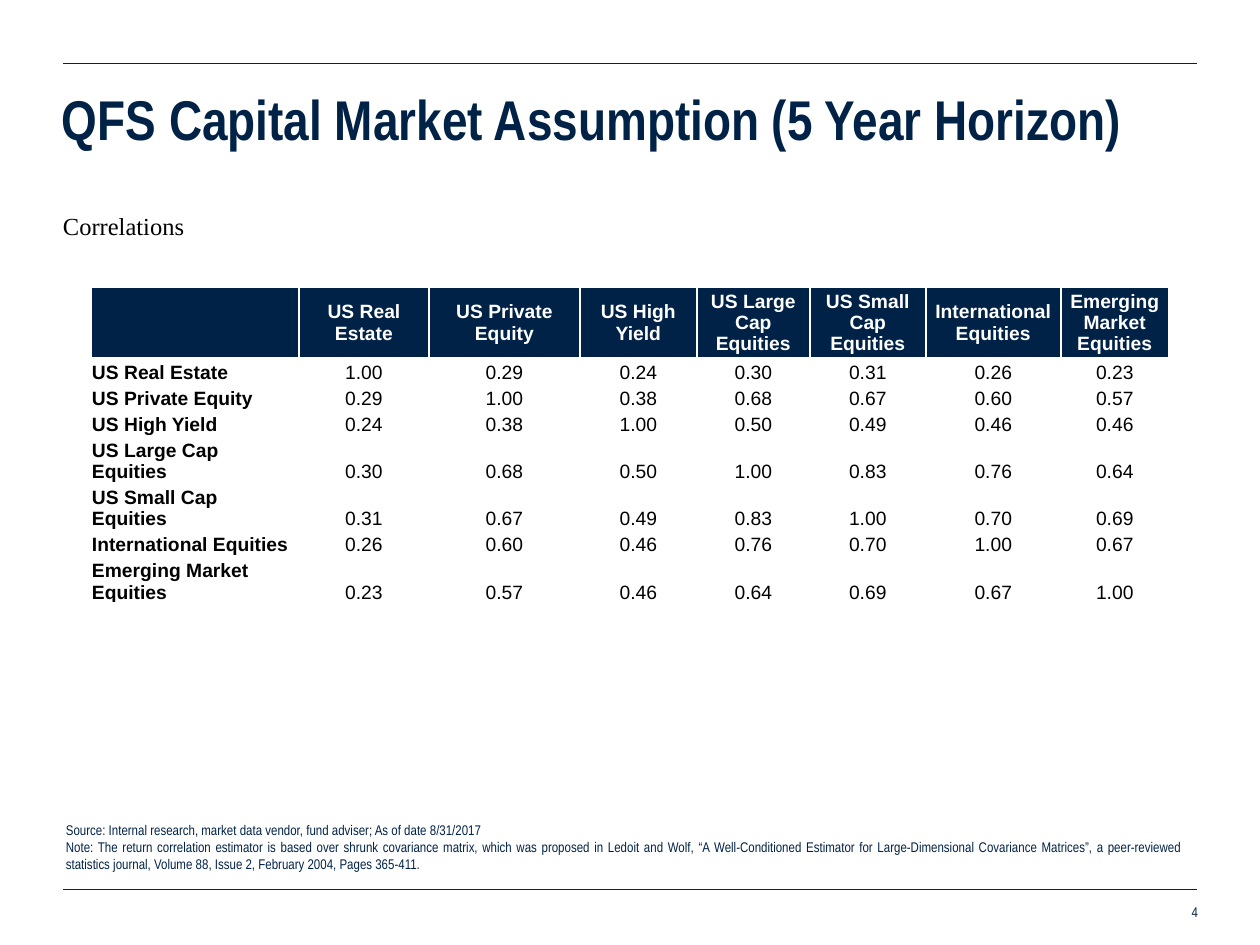
"""Build the correlation matrix slide of a capital market assumptions deck."""
from dataclasses import dataclass

from lxml.etree import SubElement
from pptx import Presentation
from pptx.dml.color import RGBColor
from pptx.enum.shapes import MSO_CONNECTOR
from pptx.enum.text import MSO_ANCHOR, PP_ALIGN
from pptx.oxml.ns import qn
from pptx.util import Emu, Pt


@dataclass(frozen=True)
class Theme:
    navy: str = "002247"
    black: str = "000000"
    white: str = "FFFFFF"
    narrow: str = "Arial Narrow"
    sans: str = "Arial"
    serif: str = "Times New Roman"
    title: int = 32
    subtitle: int = 14
    table: int = 11
    small: int = 8


def px(count):
    """Turn picture pixels into EMU."""
    return Emu(round(count * 914400 / 126))


def write_text(frame, text, *, size, font, color, bold=False, align=PP_ALIGN.LEFT,
               anchor=MSO_ANCHOR.TOP, insets=(13, 6, 13, 6), before=0):
    """Fill a text frame, one paragraph for each line of text."""
    frame.word_wrap = True
    frame.vertical_anchor = anchor
    frame.margin_left, frame.margin_top, frame.margin_right, frame.margin_bottom = map(px, insets)
    for index, line in enumerate(text.split("\n")):
        para = frame.add_paragraph() if index else frame.paragraphs[0]
        para.alignment = align
        para.space_before = Pt(before)
        span = para.add_run()
        span.text = line
        span.font.size = Pt(size)
        span.font.name = font
        span.font.bold = bold
        span.font.color.rgb = RGBColor.from_string(color)


theme = Theme()
deck = Presentation()
deck.slide_width, deck.slide_height = px(1260), px(945)
page = deck.slides.add_slide(deck.slide_layouts[6])

for rule_y in (63, 889):
    rule = page.shapes.add_connector(MSO_CONNECTOR.STRAIGHT, px(63), px(rule_y), px(1197), px(rule_y))
    rule.line.color.rgb = RGBColor.from_string(theme.navy)
    rule.line.width = Pt(0.5)
    SubElement(rule.element.spPr, qn("a:effectLst"))

note = (
    "Source: Internal research, market data vendor, fund adviser; As of date 8/31/2017\n"
    "Note: The return correlation estimator is based over shrunk covariance matrix, which was "
    "proposed in Ledoit and Wolf, “A Well-Conditioned Estimator for Large-Dimensional Covariance "
    "Matrices”, a peer-reviewed statistics journal, Volume 88, Issue 2, February 2004, Pages 365-411."
)
small_print = dict(size=theme.small, font=theme.narrow, color=theme.navy)
text_boxes = [
    ((62, 66, 1135, 105), "QFS Capital Market Assumption (5 Year Horizon)",
     dict(size=theme.title, font=theme.narrow, color=theme.navy, bold=True,
          anchor=MSO_ANCHOR.MIDDLE, insets=(0, 6, 13, 6))),
    ((63, 205, 1134, 670), "Correlations",
     dict(size=theme.subtitle, font=theme.serif, color=theme.black,
          insets=(0, 6, 13, 6), before=2.8)),
    ((901, 895, 297, 34), "4",
     dict(small_print, align=PP_ALIGN.RIGHT, anchor=MSO_ANCHOR.MIDDLE, insets=(13, 6, 0, 6))),
    ((53, 816, 1144, 86), note, dict(small_print, align=PP_ALIGN.JUSTIFY)),
]
for place, text, text_format in text_boxes:
    box = page.shapes.add_textbox(*map(px, place))
    write_text(box.text_frame, text, **text_format)

assets = ["US Real Estate", "US Private Equity", "US High Yield", "US Large Cap Equities",
          "US Small Cap Equities", "International Equities", "Emerging Market Equities"]
upper_triangle = [
    [1.00, 0.29, 0.24, 0.30, 0.31, 0.26, 0.23],
    [1.00, 0.38, 0.68, 0.67, 0.60, 0.57],
    [1.00, 0.50, 0.49, 0.46, 0.46],
    [1.00, 0.83, 0.76, 0.64],
    [1.00, 0.70, 0.69],
    [1.00, 0.67],
    [1.00],
]
column_widths = [208, 130, 151, 117, 113, 116, 135, 108]
row_heights = [67] + [26] * len(assets)

grid = page.shapes.add_table(len(row_heights), len(column_widths), px(91), px(287),
                             px(sum(column_widths)), px(sum(row_heights))).table
grid.horz_banding = False
for column, width in zip(grid.columns, column_widths):
    column.width = px(width)
for row, height in zip(grid.rows, row_heights):
    row.height = px(height)

for row_index in range(len(row_heights)):
    for column_index in range(len(column_widths)):
        cell = grid.cell(row_index, column_index)
        is_header, is_label = row_index == 0, column_index == 0
        if is_header:
            text = "" if is_label else assets[column_index - 1]
        elif is_label:
            text = assets[row_index - 1]
        else:
            first, second = sorted((row_index - 1, column_index - 1))
            text = f"{upper_triangle[first][second - first]:.2f}"

        anchor = MSO_ANCHOR.MIDDLE if is_header else MSO_ANCHOR.BOTTOM
        cell.vertical_anchor = anchor
        cell.margin_left = cell.margin_top = cell.margin_right = px(1)
        cell.margin_bottom = px(0)
        if text:
            write_text(cell.text_frame, text, size=theme.table, font=theme.sans,
                       color=theme.white if is_header else theme.black,
                       bold=is_header or is_label,
                       align=PP_ALIGN.LEFT if is_label else PP_ALIGN.CENTER,
                       anchor=anchor, insets=(1, 1, 1, 0))

        properties = cell._tc.get_or_add_tcPr()
        for side in ("a:lnL", "a:lnR", "a:lnT", "a:lnB"):
            border = SubElement(properties, qn(side), w=str(Pt(1)))
            SubElement(SubElement(border, qn("a:solidFill")), qn("a:srgbClr"), val=theme.white)
        if is_header:
            cell.fill.solid()
            cell.fill.fore_color.rgb = RGBColor.from_string(theme.navy)
        else:
            cell.fill.background()

deck.save("out.pptx")
